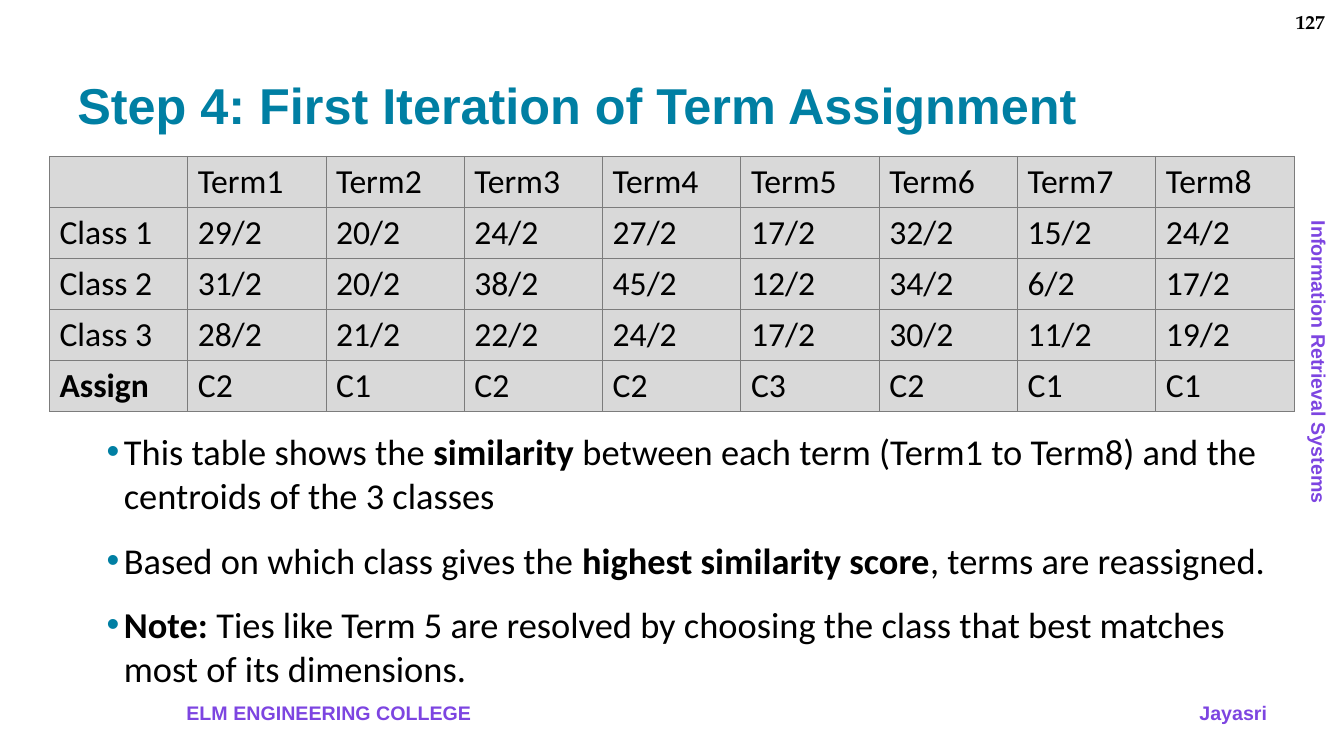
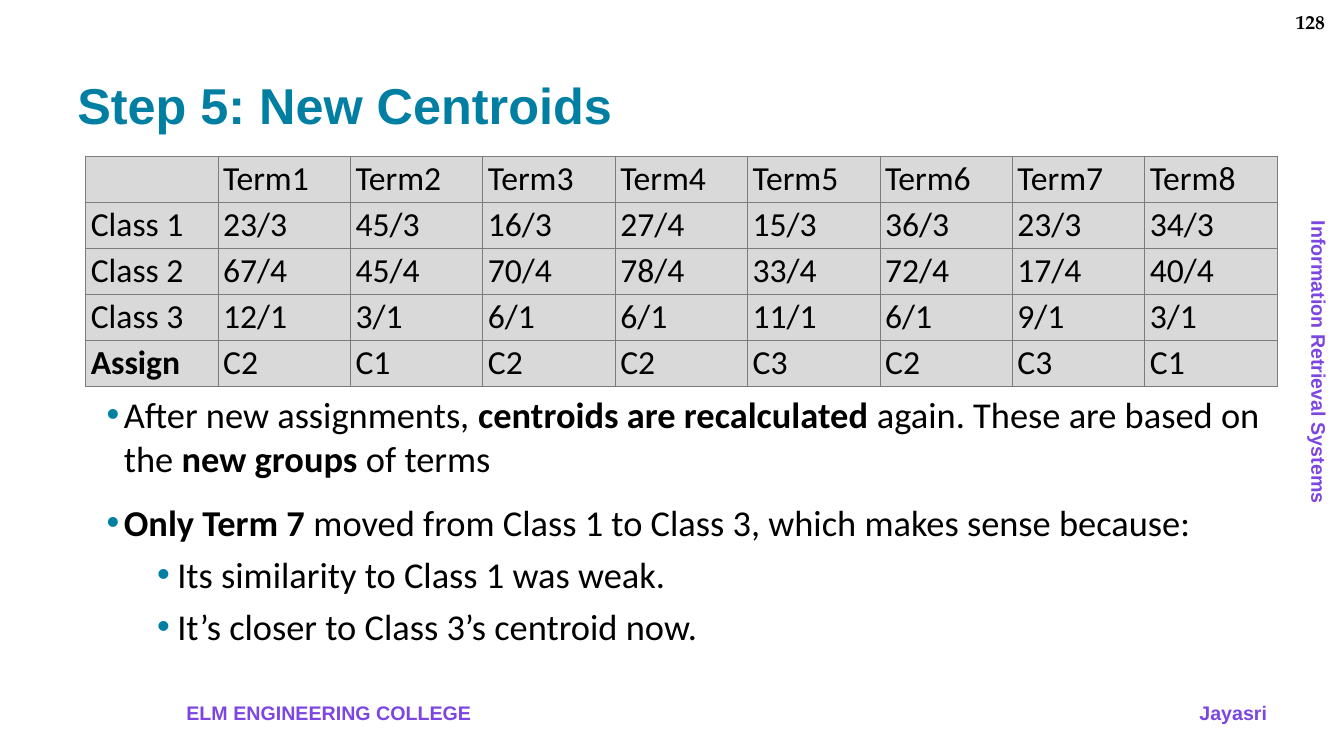
"""Build two slides on iterative term assignment and centroid updates."""
import pptx
import pptx.dml.color
import pptx.enum.text
import pptx.oxml
import pptx.oxml.ns
import pptx.util
from lxml import etree

TEAL, PURPLE, BLACK = "007FA3", "7D45E1", "000000"
CELL_FILL, BORDER = "D9D9D9", "7C7C7C"
FIRST_NUMBER = 127
TABLE_TOP = 20.67
BODY_LEFT, BODY_WIDTH = 6.38, 88.65
LEFT, RIGHT = pptx.enum.text.PP_ALIGN.LEFT, pptx.enum.text.PP_ALIGN.RIGHT
MIDDLE, BOTTOM = pptx.enum.text.MSO_ANCHOR.MIDDLE, pptx.enum.text.MSO_ANCHOR.BOTTOM
BULLET_LEVELS = [(0.28, 0.17, 15), (0.81, 0.2, 6)]
HEADER = [""] + [f"Term{number}" for number in range(1, 9)]

SLIDES = [
    {
        "title": "Step 4: First Iteration of Term Assignment",
        "table": (3.68, 92.63, 33.75),
        "cell_margins": (0.1, 0.05),
        "rows": [
            "Class 1|29/2|20/2|24/2|27/2|17/2|32/2|15/2|24/2",
            "Class 2|31/2|20/2|38/2|45/2|12/2|34/2|6/2|17/2",
            "Class 3|28/2|21/2|22/2|24/2|17/2|30/2|11/2|19/2",
            "Assign|C2|C1|C2|C2|C3|C2|C1|C1",
        ],
        "body": (55.47, 37.07),
        "bullets": [
            (0, "This table shows the **similarity** between each term (Term1 to Term8) "
                "and the centroids of the 3 classes"),
            (0, "Based on which class gives the **highest similarity score**, "
                "terms are reassigned."),
            (0, "**Note:** Ties like Term 5 are resolved by choosing the class that "
                "best matches most of its dimensions."),
        ],
    },
    {
        "title": "Step 5: New Centroids",
        "table": (BODY_LEFT, BODY_WIDTH, 30.4),
        "cell_margins": (0.05, 0.02),
        "rows": [
            "Class 1|23/3|45/3|16/3|27/4|15/3|36/3|23/3|34/3",
            "Class 2|67/4|45/4|70/4|78/4|33/4|72/4|17/4|40/4",
            "Class 3|12/1|3/1|6/1|6/1|11/1|6/1|9/1|3/1",
            "Assign|C2|C1|C2|C2|C3|C2|C3|C1",
        ],
        "body": (50.53, 36.8),
        "bullets": [
            (0, "After new assignments, **centroids are recalculated** again. "
                "These are based on the **new groups** of terms"),
            (0, "**Only Term 7** moved from Class 1 to Class 3, which makes sense because:"),
            (1, "Its similarity to Class 1 was weak."),
            (1, "It’s closer to Class 3’s centroid now."),
        ],
    },
]

presentation = pptx.Presentation()
presentation.slide_width = pptx.util.Inches(13.33)
presentation.slide_height = pptx.util.Inches(7.5)


def place(left, top, width, height):
    """Turn percentages of the slide into lengths."""
    across, down = presentation.slide_width / 100, presentation.slide_height / 100
    return [round(length) for length in
            (left * across, top * down, width * across, height * down)]


def style(font, name, size, color, bold=None):
    """Set the face, size, hex colour and weight of a font."""
    font.name, font.size, font.bold = name, pptx.util.Pt(size), bold
    font.color.rgb = pptx.dml.color.RGBColor.from_string(color)


for number, content in enumerate(SLIDES, FIRST_NUMBER):
    slide = presentation.slides.add_slide(presentation.slide_layouts[5])

    title = slide.shapes.title
    title.left, title.top, title.width, title.height = place(5, 3.2, 90, 16)
    title.text_frame.text = content["title"]
    title.text_frame.auto_size = pptx.enum.text.MSO_AUTO_SIZE.NONE
    title.text_frame.vertical_anchor = BOTTOM
    title.text_frame.margin_bottom = pptx.util.Inches(0.1)
    paragraph = title.text_frame.paragraphs[0]
    paragraph.alignment = LEFT
    style(paragraph.font, "Arial", 36, TEAL, True)

    for text, box, alignment, rotation, face, color in [
        ("Jayasri", (67.88, 92, 27.14, 4.53), RIGHT, 0, "Arial", PURPLE),
        ("ELM ENGINEERING COLLEGE", (13.13, 92, 35.48, 4.53), LEFT, 0, "Arial", PURPLE),
        ("Information Retrieval Systems", (86.8, 45.73, 22.65, 4.53), LEFT, 90, "Arial", PURPLE),
        (str(number), (93.78, 0.67, 5.55, 4.53), RIGHT, 0, "TeX Gyre Pagella", BLACK),
    ]:
        label = slide.shapes.add_textbox(*place(*box))
        label.rotation = rotation
        label.text_frame.word_wrap = rotation == 0
        label.text_frame.text = text
        paragraph = label.text_frame.paragraphs[0]
        paragraph.alignment = alignment
        style(paragraph.font, face, 14, color, True)

    rows = [HEADER] + [row.split("|") for row in content["rows"]]
    left, width, height = content["table"]
    table = slide.shapes.add_table(
        len(rows), len(HEADER), *place(left, TABLE_TOP, width, height)).table
    side_margin, end_margin = map(pptx.util.Inches, content["cell_margins"])
    for row_index, row in enumerate(rows):
        for column_index, text in enumerate(row):
            cell = table.cell(row_index, column_index)
            cell.text = text
            cell.vertical_anchor = MIDDLE
            cell.margin_left = cell.margin_right = side_margin
            cell.margin_top = cell.margin_bottom = end_margin
            style(cell.text_frame.paragraphs[0].font, "Calibri", 24, BLACK, text == "Assign")
            properties = cell._tc.get_or_add_tcPr()
            for side in ("lnL", "lnR", "lnT", "lnB"):
                line = etree.SubElement(
                    properties, pptx.oxml.ns.qn(f"a:{side}"), w=str(pptx.util.Pt(0.75)))
                fill = etree.SubElement(line, pptx.oxml.ns.qn("a:solidFill"))
                etree.SubElement(fill, pptx.oxml.ns.qn("a:srgbClr"), val=BORDER)
            cell.fill.solid()
            cell.fill.fore_color.rgb = pptx.dml.color.RGBColor.from_string(CELL_FILL)

    top, height = content["body"]
    body = slide.shapes.add_textbox(*place(BODY_LEFT, top, BODY_WIDTH, height))
    frame = body.text_frame
    frame.word_wrap = True
    frame.margin_top = frame.margin_bottom = pptx.util.Inches(0.1)
    for index, (level, text) in enumerate(content["bullets"]):
        paragraph = frame.add_paragraph() if index else frame.paragraphs[0]
        paragraph.level = level
        indent, hanging, space = BULLET_LEVELS[level]
        paragraph.space_before = pptx.util.Pt(space)
        properties = paragraph._p.get_or_add_pPr()
        properties.set("marL", str(pptx.util.Inches(indent)))
        properties.set("indent", str(-pptx.util.Inches(hanging)))
        bullet_color = etree.SubElement(properties, pptx.oxml.ns.qn("a:buClr"))
        etree.SubElement(bullet_color, pptx.oxml.ns.qn("a:srgbClr"), val=TEAL)
        etree.SubElement(properties, pptx.oxml.ns.qn("a:buFont"), typeface="Arial")
        etree.SubElement(properties, pptx.oxml.ns.qn("a:buChar"), char="•")
        style(paragraph.font, "Calibri", 26, BLACK)
        for part, words in enumerate(text.split("**")):
            if words:
                run = paragraph.add_run()
                run.text = words
                run.font.bold = part % 2 == 1

presentation.save("out.pptx")
